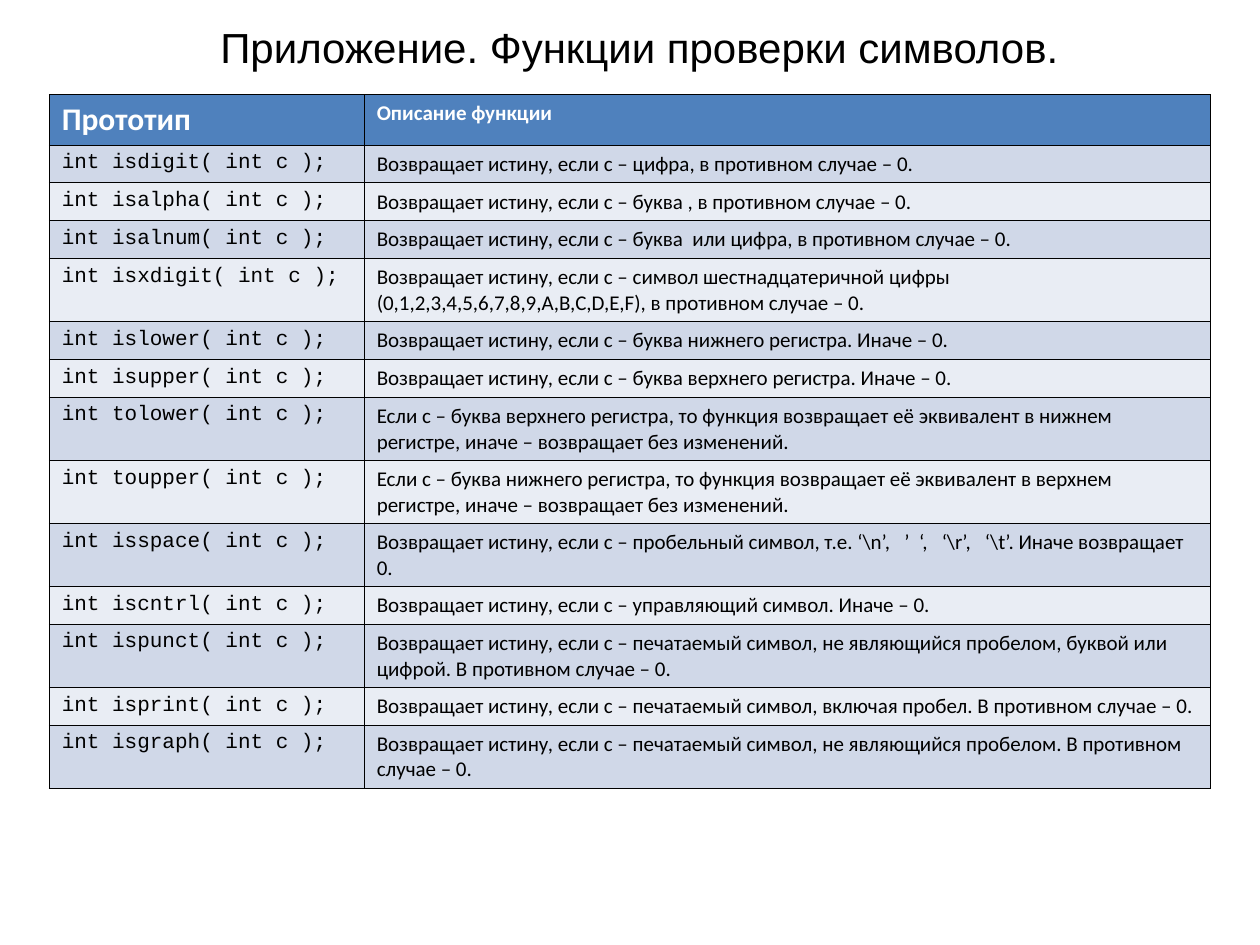
import pptx
import pptx.dml.color
import pptx.enum.text
import pptx.oxml
import pptx.oxml.ns
import pptx.util
from pptx.util import Inches

RGBColor = pptx.dml.color.RGBColor
BLACK = RGBColor(0x00, 0x00, 0x00)
WHITE = RGBColor(0xFF, 0xFF, 0xFF)
HEADER_BLUE = RGBColor(0x4F, 0x81, 0xBD)
BAND_DARK = RGBColor(0xD0, 0xD8, 0xE8)
BAND_LIGHT = RGBColor(0xE9, 0xED, 0xF4)

TITLE = "Приложение. Функции проверки символов."
HEADERS = ("Прототип", "Описание функции")
FUNCTIONS = [
    ("isdigit", "Возвращает истину, если с – цифра, в противном случае – 0."),
    ("isalpha", "Возвращает истину, если с – буква , в противном случае – 0."),
    ("isalnum", "Возвращает истину, если с – буква  или цифра, в противном случае – 0."),
    ("isxdigit", "Возвращает истину, если с – символ шестнадцатеричной цифры "
                 "(0,1,2,3,4,5,6,7,8,9,A,B,C,D,E,F), в противном случае – 0."),
    ("islower", "Возвращает истину, если с – буква нижнего регистра. Иначе – 0."),
    ("isupper", "Возвращает истину, если с – буква верхнего регистра. Иначе – 0."),
    ("tolower", "Если с – буква верхнего регистра, то функция возвращает её эквивалент "
                "в нижнем регистре, иначе – возвращает без изменений."),
    ("toupper", "Если с – буква нижнего регистра, то функция возвращает её эквивалент "
                "в верхнем регистре, иначе – возвращает без изменений."),
    ("isspace", "Возвращает истину, если с – пробельный символ, т.е. "
                "‘\\n’,   ’  ‘,   ‘\\r’,   ‘\\t’. Иначе возвращает 0."),
    ("iscntrl", "Возвращает истину, если с – управляющий символ. Иначе – 0."),
    ("ispunct", "Возвращает истину, если с – печатаемый символ, не являющийся пробелом, "
                "буквой или цифрой. В противном случае – 0."),
    ("isprint", "Возвращает истину, если с – печатаемый символ, включая пробел. "
                "В противном случае – 0."),
    ("isgraph", "Возвращает истину, если с – печатаемый символ, не являющийся пробелом. "
                "В противном случае – 0."),
]
LINE_CHARS = 90  # longer descriptions take two lines

TITLE_FONT = dict(name="Arial", size=24, bold=False, color=BLACK)
HEADER_FONTS = (dict(name="Calibri", size=18, bold=True, color=WHITE),
                dict(name="Calibri", size=12, bold=True, color=WHITE))
BODY_FONTS = (dict(name="Courier New", size=12, bold=False, color=BLACK),
              dict(name="Calibri", size=12, bold=False, color=BLACK))


def write(tf, text, font):
    p = tf.paragraphs[0]
    r = p.add_run()
    r.text = text
    values = dict(font, size=pptx.util.Pt(font["size"]))
    r.font.color.rgb = values.pop("color")
    for name, value in values.items():
        setattr(r.font, name, value)
    return p


def add_borders(cell):
    """Draw a thin black line on every side; call before setting the fill."""
    tc_pr = cell._tc.get_or_add_tcPr()
    for side in ("lnL", "lnR", "lnT", "lnB"):
        tc_pr.append(pptx.oxml.parse_xml(
            f'<a:{side} {pptx.oxml.ns.nsdecls("a")} w="{pptx.util.Pt(0.45)}">'
            f'<a:solidFill><a:srgbClr val="{BLACK}"/></a:solidFill></a:{side}>'))


def add_title(slide, left, top, width, height):
    sp = slide.shapes.add_textbox(left, top, width, height)
    sp.text_frame.word_wrap = True
    p = write(sp.text_frame, TITLE, TITLE_FONT)
    p.alignment = pptx.enum.text.PP_ALIGN.CENTER


def add_function_table(slide, left, top, width, height):
    rows = [HEADERS] + [(f"int {name}( int c );", text) for name, text in FUNCTIONS]
    table = slide.shapes.add_table(len(rows), 2, left, top, width, height).table
    table.columns[0].width = Inches(2.5)
    table.columns[1].width = width - Inches(2.5)
    for i, texts in enumerate(rows):
        if i == 0:
            row_height, fill, fonts = 0.4, HEADER_BLUE, HEADER_FONTS
        else:
            row_height = 0.5 if len(texts[1]) > LINE_CHARS else 0.3
            fill = BAND_DARK if i % 2 else BAND_LIGHT
            fonts = BODY_FONTS
        table.rows[i].height = Inches(row_height)
        for cell, text, font in zip(table.rows[i].cells, texts, fonts):
            add_borders(cell)
            cell.fill.solid()
            cell.fill.fore_color.rgb = fill
            write(cell.text_frame, text, font)


def main():
    prs = pptx.Presentation()
    prs.slide_width, prs.slide_height = Inches(10), Inches(7.5)
    slide = prs.slides.add_slide(prs.slide_layouts[6])
    add_title(slide, Inches(0.23), Inches(0.12), Inches(9.69), Inches(0.5))
    add_function_table(slide, Inches(0.39), Inches(0.75), Inches(9.22), Inches(5.5))
    prs.save("out.pptx")


if __name__ == "__main__":
    main()
